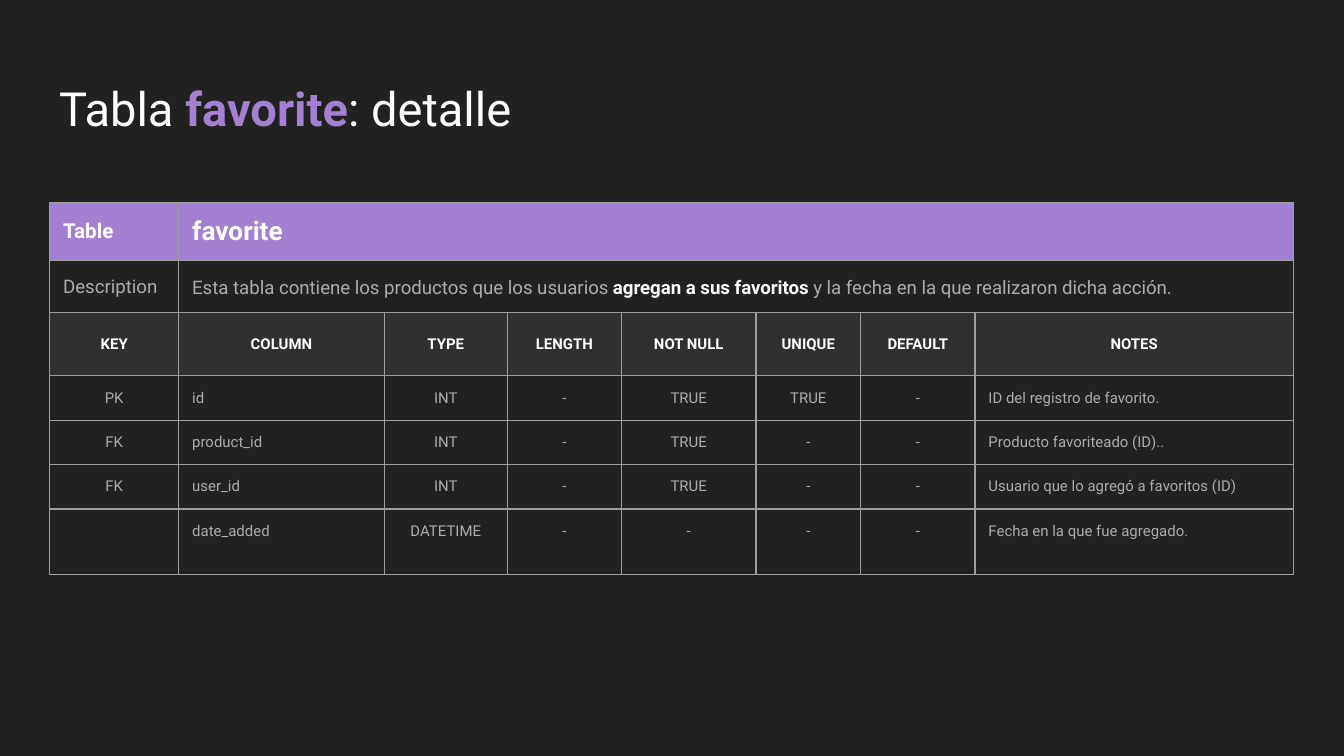
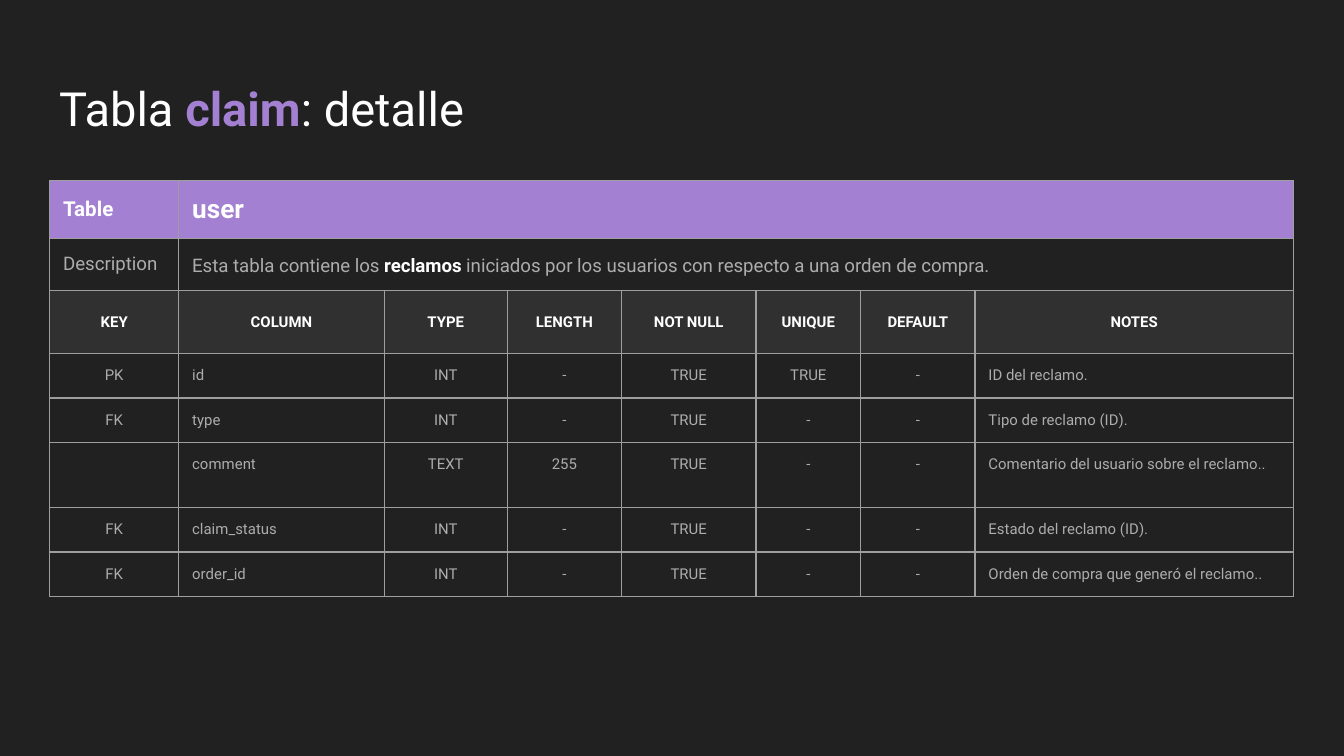
"""Build two slides that detail database tables."""
from typing import Any, NamedTuple

from lxml import etree
from pptx import Presentation, slide as sl, table as tb
from pptx import util as u
from pptx.dml.color import RGBColor
from pptx.enum import text
from pptx.oxml import ns

PX = 4572
WIDTH, HEIGHT = 2000, 1125
INSET = 20
TITLE_BOX = (68, 98, 1864, 125)
TABLE_LEFT = 74
COL_WIDTHS = (192, 306, 183, 170, 200, 156, 170, 474)
ROW_HEIGHT, HEADER_HEIGHT, BLANK_KEY_HEIGHT = 46, 94, 52
BLANK_SIZE = 17.5
BORDER_WIDTH = 0.75
FONT = "Roboto"

DARK = RGBColor(0x21, 0x21, 0x21)
PANEL = RGBColor(0x30, 0x30, 0x30)
PURPLE = RGBColor(0xA3, 0x80, 0xD1)
WHITE = RGBColor(0xFF, 0xFF, 0xFF)
GREY = RGBColor(0xAD, 0xAD, 0xAD)
LINE = RGBColor(0x9E, 0x9E, 0x9E)

LEFT, CENTER = text.PP_ALIGN.LEFT, text.PP_ALIGN.CENTER
TOP, MIDDLE = text.MSO_ANCHOR.TOP, text.MSO_ANCHOR.MIDDLE
HEADINGS = ("KEY", "COLUMN", "TYPE", "LENGTH", "NOT NULL", "UNIQUE", "DEFAULT", "NOTES")
ALIGNS = (CENTER, LEFT, CENTER, CENTER, CENTER, CENTER, CENTER, LEFT)
MARGINS = {f"margin_{side}": u.Emu(INSET * PX) for side in ("left", "top", "right", "bottom")}


class Style(NamedTuple):
    """Text size, colours and placement."""
    size: float
    color: RGBColor
    bold: bool = False
    accent: RGBColor = WHITE
    fill: RGBColor | None = None
    anchor: Any = MIDDLE


class Field(NamedTuple):
    """One row of a table's column listing."""
    key: str
    column: str
    kind: str
    length: str
    not_null: str
    unique: str
    default: str
    notes: str


class Detail(NamedTuple):
    """Content of one slide."""
    name: str
    label: str
    description: str
    top: int
    fields: tuple[Field, ...]


TITLE = Style(25.2, WHITE, accent=PURPLE, anchor=TOP)
LABEL = Style(11, WHITE, bold=True, fill=PURPLE)
NAME = LABEL._replace(size=14)
DESCRIPTION = Style(10, GREY)
HEADING = Style(8, WHITE, bold=True, fill=PANEL)
VALUE = Style(8, GREY, anchor=TOP)

DETAILS = (
    Detail("favorite", "favorite",
           "Esta tabla contiene los productos que los usuarios *agregan a sus favoritos*"
           " y la fecha en la que realizaron dicha acción.", 302, (
               Field("PK", "id", "INT", "-", "TRUE", "TRUE", "-", "ID del registro de favorito."),
               Field("FK", "product_id", "INT", "-", "TRUE", "-", "-", "Producto favoriteado (ID).."),
               Field("FK", "user_id", "INT", "-", "TRUE", "-", "-",
                     "Usuario que lo agregó a favoritos (ID)"),
               Field("", "date_added", "DATETIME", "-", "-", "-", "-",
                     "Fecha en la que fue agregado."),
           )),
    Detail("claim", "user",
           "Esta tabla contiene los* reclamos* iniciados por los usuarios"
           " con respecto a una orden de compra.", 269, (
               Field("PK", "id", "INT", "-", "TRUE", "TRUE", "-", "ID del reclamo."),
               Field("FK", "type", "INT", "-", "TRUE", "-", "-", "Tipo de reclamo (ID)."),
               Field("", "comment", "TEXT", "255", "TRUE", "-", "-",
                     "Comentario del usuario sobre el reclamo.."),
               Field("FK", "claim_status", "INT", "-", "TRUE", "-", "-", "Estado del reclamo (ID)."),
               Field("FK", "order_id", "INT", "-", "TRUE", "-", "-",
                     "Orden de compra que generó el reclamo.."),
           )),
)


def apply(target: Any, values: dict[str, Any]) -> None:
    """Set each named attribute on the target."""
    for name, value in values.items():
        setattr(target, name, value)


def write(p: Any, content: str, style: Style, align: Any = LEFT) -> None:
    """Write runs, with the parts between asterisks accented in bold."""
    p.alignment = align
    for i, part in enumerate(content.split("*")):
        if part:
            accented = i % 2 == 1
            r = p.add_run()
            r.text = part
            apply(r.font, {"name": FONT, "size": u.Pt(style.size), "bold": style.bold or accented})
            r.font.color.rgb = style.accent if accented else style.color


def size_blank(p: Any) -> None:
    """Give an empty paragraph its font and size."""
    end = etree.SubElement(p._p, ns.qn("a:endParaRPr"), sz=str(int(BLANK_SIZE * 100)))
    etree.SubElement(end, ns.qn("a:latin"), typeface=FONT)


def add_borders(cell: Any) -> None:
    """Draw a thin line on the four sides of a cell."""
    tc_pr = cell._tc.get_or_add_tcPr()
    for side in ("lnL", "lnR", "lnT", "lnB"):
        ln = etree.SubElement(tc_pr, ns.qn(f"a:{side}"), w=str(u.Pt(BORDER_WIDTH)))
        fill = etree.SubElement(ln, ns.qn("a:solidFill"))
        etree.SubElement(fill, ns.qn("a:srgbClr"), val=str(LINE))


def fill_cell(cell: Any, content: str, style: Style, align: Any = LEFT) -> None:
    """Write and format one table cell."""
    apply(cell, MARGINS | {"vertical_anchor": style.anchor})
    p = cell.text_frame.paragraphs[0]
    if content:
        write(p, content, style, align)
    else:
        size_blank(p)
    if style.fill is None:
        cell.fill.background()
    else:
        cell.fill.solid()
        cell.fill.fore_color.rgb = style.fill


def add_title(s: sl.Slide, name: str) -> None:
    """Place the slide title with the table name accented."""
    sp = s.shapes.title
    apply(sp, dict(zip(("left", "top", "width", "height"), (u.Emu(v * PX) for v in TITLE_BOX))))
    tf = sp.text_frame
    apply(tf, MARGINS | {"word_wrap": True, "vertical_anchor": TITLE.anchor,
                         "auto_size": text.MSO_AUTO_SIZE.NONE})
    write(tf.paragraphs[0], f"Tabla *{name}*: detalle", TITLE)


def add_detail_table(s: sl.Slide, detail: Detail) -> tb.Table:
    """Add the table of columns below its name and description."""
    heights = [ROW_HEIGHT, ROW_HEIGHT, HEADER_HEIGHT]
    heights += [ROW_HEIGHT if f.key else BLANK_KEY_HEIGHT for f in detail.fields]
    box = (TABLE_LEFT, detail.top, sum(COL_WIDTHS), sum(heights))
    table = s.shapes.add_table(len(heights), len(COL_WIDTHS), *(u.Emu(v * PX) for v in box)).table
    apply(table, {"first_row": False, "horz_banding": False})
    for column, width in zip(table.columns, COL_WIDTHS):
        column.width = u.Emu(width * PX)
    for row, height in zip(table.rows, heights):
        row.height = u.Emu(height * PX)
    for cell in table.iter_cells():
        add_borders(cell)

    intro = (("Table", LABEL, detail.label, NAME),
             ("Description", DESCRIPTION, detail.description, DESCRIPTION))
    for i, (label, label_style, content, style) in enumerate(intro):
        fill_cell(table.cell(i, 0), label, label_style)
        table.cell(i, 1).merge(table.cell(i, len(COL_WIDTHS) - 1))
        fill_cell(table.cell(i, 1), content, style)
    apply(table.cell(1, 1).text_frame.paragraphs[0],
          {"line_spacing": 1.15, "space_after": u.Pt(12)})

    for j, heading in enumerate(HEADINGS):
        fill_cell(table.cell(2, j), heading, HEADING, CENTER)
    for i, field in enumerate(detail.fields, start=3):
        for j, (value, align) in enumerate(zip(field, ALIGNS)):
            fill_cell(table.cell(i, j), value, VALUE, align)
    return table


def add_detail_slide(prs: Any, detail: Detail) -> None:
    """Add one dark slide with its title and table."""
    s = prs.slides.add_slide(prs.slide_layouts.get_by_name("Title Only"))
    s.background.fill.solid()
    s.background.fill.fore_color.rgb = DARK
    add_title(s, detail.name)
    add_detail_table(s, detail)


def main() -> None:
    """Build and save the presentation."""
    prs = Presentation()
    apply(prs, {"slide_width": u.Emu(WIDTH * PX), "slide_height": u.Emu(HEIGHT * PX)})
    for detail in DETAILS:
        add_detail_slide(prs, detail)
    prs.save("out.pptx")


if __name__ == "__main__":
    main()
